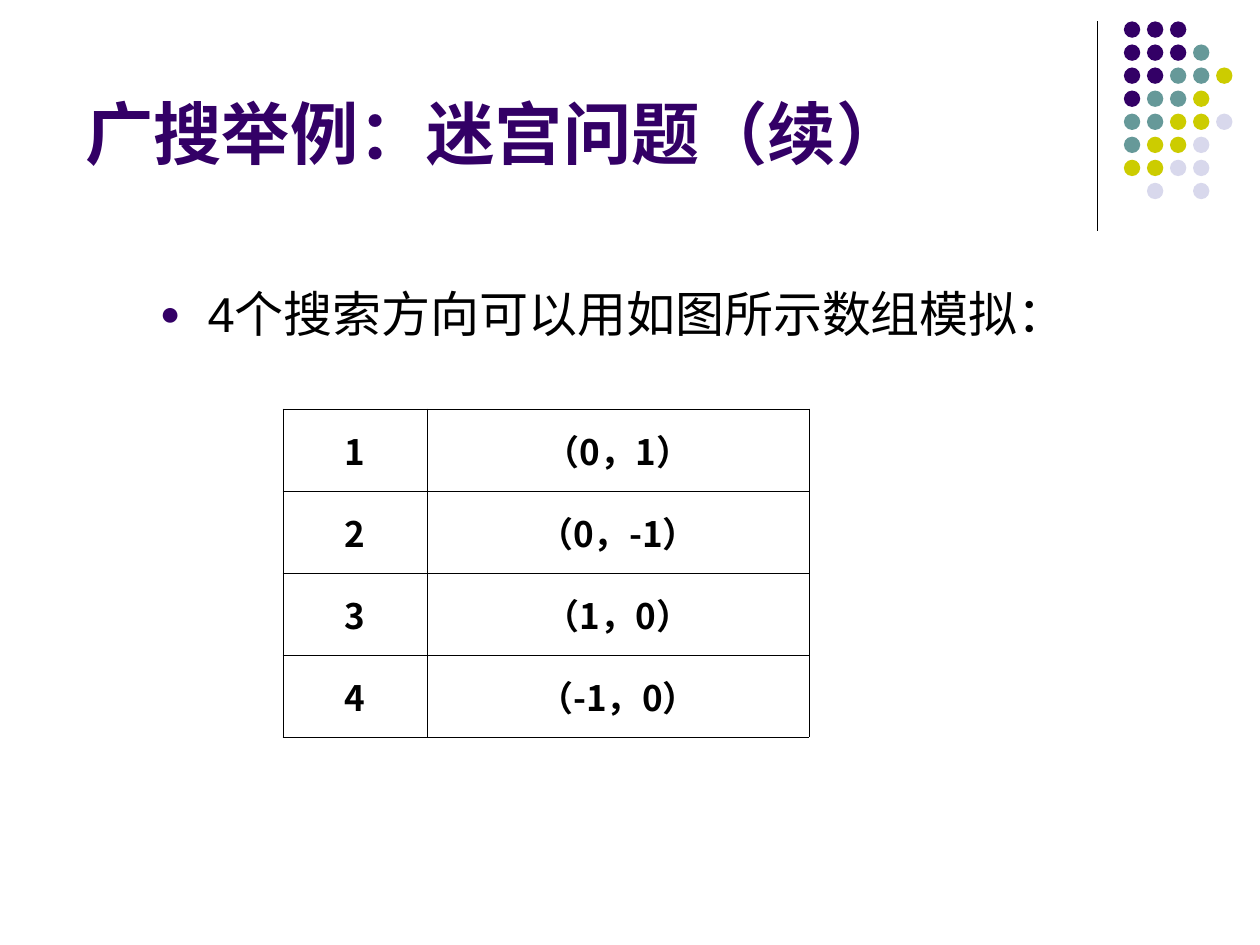
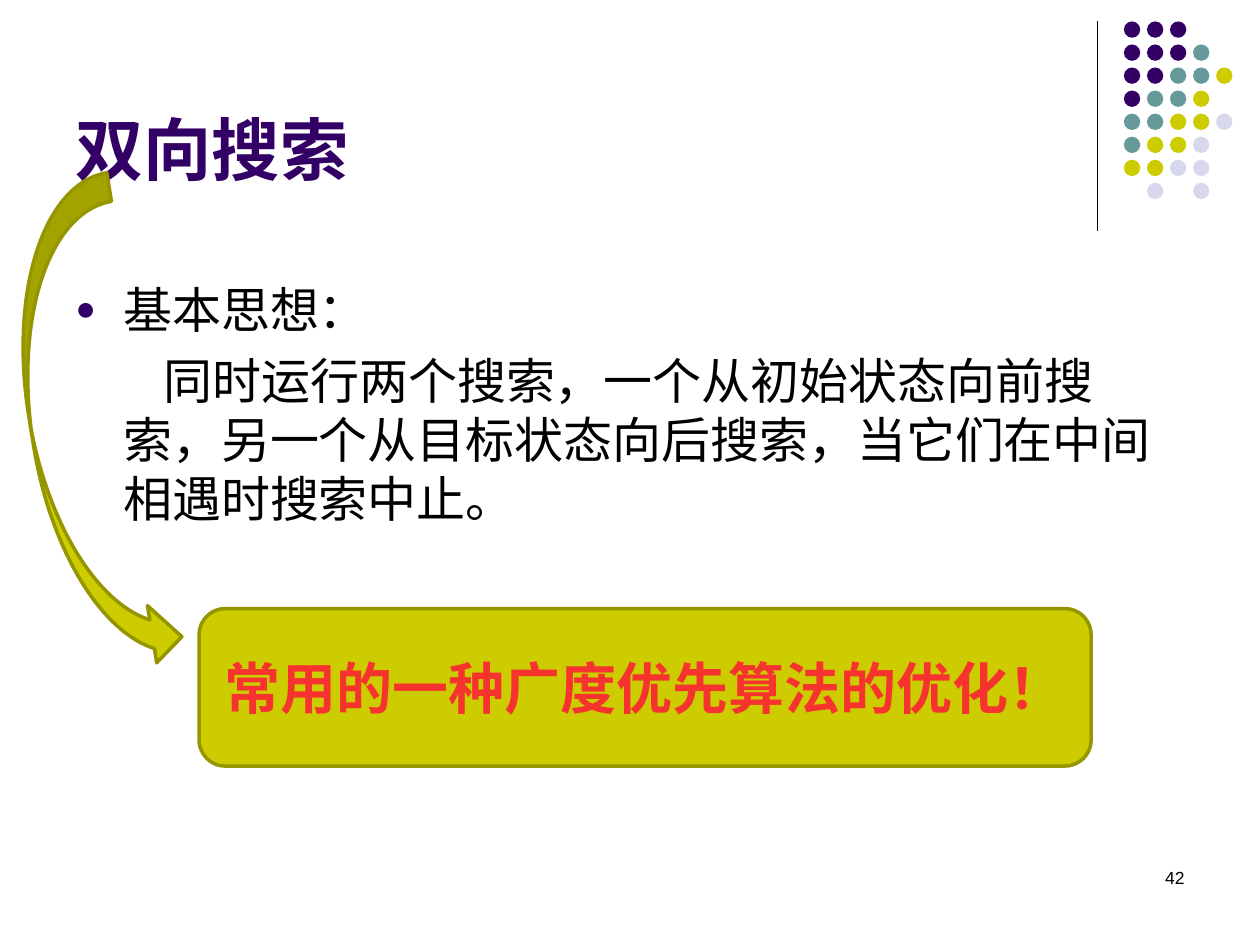
from lxml import etree
from pptx import Presentation
from pptx.dml.color import RGBColor
from pptx.enum.shapes import MSO_CONNECTOR, MSO_SHAPE as SHAPE
from pptx.enum.text import MSO_ANCHOR as ANCHOR, PP_ALIGN as ALIGN
from pptx.oxml.ns import qn
from pptx.util import Inches, Pt

COLORS = {
    "purple": "330066", "teal": "669999", "lime": "CCCC00", "pale": "D8D8EC",
    "olive": "959500", "red": "F6332E", "black": "000000",
}
RGB = {name: RGBColor.from_string(value) for name, value in COLORS.items()}
DOT_COLORS = {"p": "purple", "t": "teal", "l": "lime", "w": "pale"}
DOT_ROWS = ["ppp", "pppt", "ppttl", "pttl", "ttllw", "tllw", "llww", " w w"]
DOT_PITCH = 0.183


def write(tf, lines, size, color="black", bold=False, font="Arial",
          align=ALIGN.LEFT, anchor=ANCHOR.TOP, before=0):
    """Fill a text frame with one paragraph per line, all in one style."""
    tf.word_wrap = True
    tf.vertical_anchor = anchor
    tf.text = "\n".join(lines)
    for p in tf.paragraphs:
        p.alignment = align
        p.space_before = Pt(before)
        for r in p.runs:
            r.font.size = Pt(size)
            r.font.bold = bold
            r.font.color.rgb = RGB[color]
            r.font.name = font
            etree.SubElement(r.font._element, qn("a:ea"), typeface=font)


def indent(p, first, bullet=False):
    """Indent a body paragraph, with a small round bullet if asked for."""
    pPr = p._p.get_or_add_pPr()
    pPr.set("marL", str(Inches(0.38)))
    pPr.set("indent", str(Inches(first)))
    pPr.set("hangingPunct", "0")
    if bullet:
        color = etree.SubElement(pPr, qn("a:buClr"))
        etree.SubElement(color, qn("a:srgbClr"), val=COLORS["purple"])
        etree.SubElement(pPr, qn("a:buSzPct"), val="70000")
        etree.SubElement(pPr, qn("a:buFont"), typeface="Arial")
        etree.SubElement(pPr, qn("a:buChar"), char="●")


prs = Presentation()
prs.slide_width, prs.slide_height = Inches(10), Inches(7.5)

# Shared frame: rule, dot pattern and title
titles = [
    ("广搜举例：迷宫问题（续）", (0.58, 0.42, 7.67, 1)),
    ("双向搜索", (0.5, 0.13, 8.25, 1.42)),
]
slides = []
for title, box in titles:
    s = prs.slides.add_slide(prs.slide_layouts[6])
    slides.append(s)
    rule = s.shapes.add_connector(MSO_CONNECTOR.STRAIGHT, Inches(8.71), Inches(0.17),
                                  Inches(8.71), Inches(1.83))
    rule.line.color.rgb = RGB["black"]
    rule.line.width = Pt(0.75)
    etree.SubElement(rule._element.spPr, qn("a:effectLst"))

    for row, codes in enumerate(DOT_ROWS):
        for col, code in enumerate(codes):
            if code == " ":
                continue
            dot = s.shapes.add_shape(
                SHAPE.OVAL, Inches(8.92 + col * DOT_PITCH), Inches(0.17 + row * DOT_PITCH),
                Inches(0.13), Inches(0.13))
            dot.shadow.inherit = False
            dot.fill.solid()
            dot.fill.fore_color.rgb = RGB[DOT_COLORS[code]]
            dot.line.fill.background()

    sp = s.shapes.add_textbox(*map(Inches, box))
    write(sp.text_frame, [title], 39, "purple", bold=True, anchor=ANCHOR.BOTTOM)

maze, bidirectional = slides

# Slide 1: the four search directions
sp = maze.shapes.add_textbox(Inches(1.17), Inches(2.25), Inches(7.67), Inches(1.67))
write(sp.text_frame, ["4个搜索方向可以用如图所示数组模拟："], 28, before=7)
p = sp.text_frame.paragraphs[0]
p.line_spacing = 0.9
indent(p, -0.38, bullet=True)

directions = ["（0，1）", "（0，-1）", "（1，0）", "（-1，0）"]
table = maze.shapes.add_table(len(directions), 2, Inches(2.25), Inches(3.25),
                              Inches(4.17), Inches(2.6)).table
table.first_row = table.horz_banding = False
table.columns[0].width, table.columns[1].width = Inches(1.14), Inches(3.03)
for row, direction in enumerate(directions):
    table.rows[row].height = Inches(0.65)
    for col, text in enumerate([str(row + 1), direction]):
        cell = table.cell(row, col)
        write(cell.text_frame, [text], 20, bold=True, font="Noto Sans CJK SC",
              align=ALIGN.CENTER, before=5)
        cell.vertical_anchor = ANCHOR.MIDDLE
        tcPr = cell._tc.get_or_add_tcPr()
        widths = {"lnL": 0.45 if col else 1.08, "lnR": 0.45,
                  "lnT": 0.45 if row else 1.08, "lnB": 0.45}
        for side, width in widths.items():
            ln = etree.SubElement(tcPr, qn(f"a:{side}"), w=str(Pt(width)))
            fill = etree.SubElement(ln, qn("a:solidFill"))
            etree.SubElement(fill, qn("a:srgbClr"), val=COLORS["black"])
        cell.fill.background()

# Slide 2: the idea of bidirectional search
sp = bidirectional.shapes.add_textbox(Inches(0.5), Inches(2.17), Inches(9), Inches(4.82))
write(sp.text_frame, [
    "基本思想：",
    "同时运行两个搜索，一个从初始状态向前搜索，另一个从目标状态向后搜索，当它们在中间相遇时搜索中止。",
], 28, before=7)
heading, idea = sp.text_frame.paragraphs
indent(heading, -0.38, bullet=True)
indent(idea, 0.32)

sp = bidirectional.shapes.add_textbox(Inches(7.17), Inches(6.83), Inches(2.33), Inches(0.5))
write(sp.text_frame, ["42"], 10, align=ALIGN.RIGHT)

callout = bidirectional.shapes.add_shape(SHAPE.ROUNDED_RECTANGLE, Inches(1.58), Inches(4.83),
                                         Inches(7.08), Inches(1.25))
write(callout.text_frame, ["常用的一种广度优先算法的优化！"], 32, "red", bold=True,
      align=ALIGN.CENTER, anchor=ANCHOR.MIDDLE)
arrow = bidirectional.shapes.add_shape(SHAPE.CURVED_RIGHT_ARROW, Inches(0.25), Inches(1.42),
                                       Inches(0.92), Inches(3.96))
arrow.rotation = 350.8
for sp in (callout, arrow):
    sp.shadow.inherit = False
    sp.fill.solid()
    sp.fill.fore_color.rgb = RGB["lime"]
    sp.line.color.rgb = RGB["olive"]
    sp.line.width = Pt(2)

prs.save("out.pptx")
